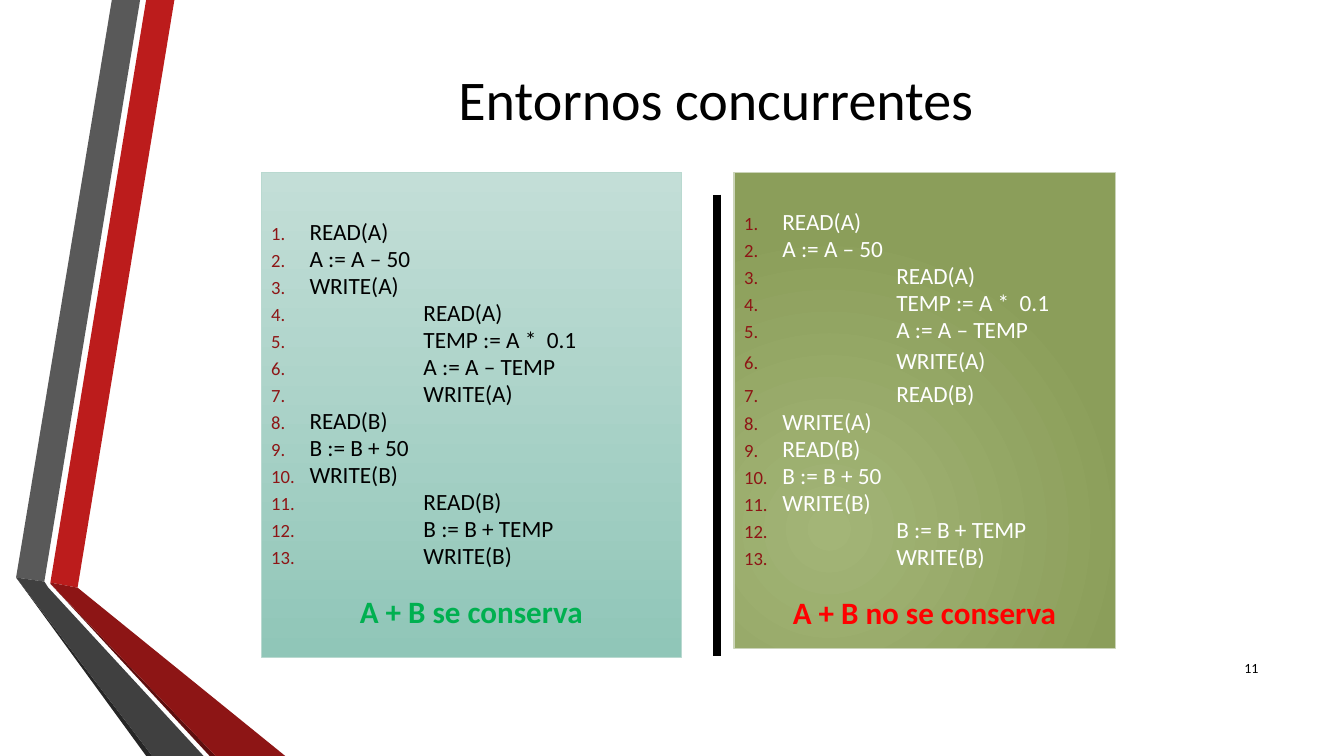
"""Build the slide that compares two concurrent schedules."""
from lxml.etree import SubElement
from pptx import Presentation
from pptx.dml.color import RGBColor
from pptx.enum.shapes import MSO_CONNECTOR as Connector
from pptx.enum.text import MSO_ANCHOR as Anchor, MSO_AUTO_SIZE as AutoSize, PP_ALIGN as Align
from pptx.oxml.ns import qn
from pptx.util import Inches, Pt

COLORS = {
    "black": "000000", "white": "FFFFFF", "number": "8D1515",
    "red_light": "BC1C1C", "red_mid": "8D1515", "red_dark": "5E0E0E",
    "gray_light": "595959", "gray_mid": "404040", "gray_dark": "262626",
    "teal_top": "C3DED7", "teal_bottom": "90C6B8", "teal_line": "B9D9D0",
    "olive_light": "A3B577", "olive_dark": "8B9E5A", "olive_line": "CBD4B9",
    "kept": "00B050", "lost": "FF0000",
}
RIBBONS = [
    ("red_light", [(0.5, 5.78), (0.77, 5.83), (1.73, 0), (1.45, 0)]),
    ("gray_light", [(1.39, 0), (1.11, 0), (0.16, 5.73), (0.44, 5.77)]),
    ("gray_dark", [(0.16, 5.73), (1.45, 7.5), (1.51, 7.5)]),
    ("red_dark", [(0.5, 5.79), (2.08, 7.5), (2.14, 7.5)]),
    ("red_mid", [(0.5, 5.79), (2.14, 7.5), (2.83, 7.5), (0.77, 5.83), (0.5, 5.78)]),
    ("gray_mid", [(2.02, 7.5), (0.48, 5.83), (0.44, 5.77), (0.16, 5.73), (1.51, 7.5)]),
]
PANELS = [
    {
        "box": (2.59, 1.71, 4.17, 4.81), "stops": ("teal_top", "teal_bottom"),
        "line": "teal_line", "ink": "black", "radial": False,
        "steps": [(1, "READ(A)"), (1, "A := A – 50"), (1, "WRITE(A)"),
                  (2, "READ(A)"), (2, "TEMP := A *  0.1"), (2, "A := A – TEMP"),
                  (2, "WRITE(A)"), (1, "READ(B)"), (1, "B := B + 50"),
                  (1, "WRITE(B)"), (2, "READ(B)"), (2, "B := B + TEMP"), (2, "WRITE(B)")],
        "loose": (), "result": "A + B se conserva", "result_color": "kept",
    },
    {
        "box": (7.28, 1.71, 3.78, 4.72), "stops": ("olive_light", "olive_dark"),
        "line": "olive_line", "ink": "white", "radial": True,
        "steps": [(1, "READ(A)"), (1, "A := A – 50"), (2, "READ(A)"),
                  (2, "TEMP := A *  0.1"), (2, "A := A – TEMP"), (2, "WRITE(A)"),
                  (2, "READ(B)"), (1, "WRITE(A)"), (1, "READ(B)"),
                  (1, "B := B + 50"), (1, "WRITE(B)"), (2, "B := B + TEMP"), (2, "WRITE(B)")],
        "loose": (5, 6), "result": "A + B no se conserva", "result_color": "lost",
    },
]
STEP_INDENT = {1: 0.38, 2: 1.51}


def rgb(name):
    return RGBColor.from_string(COLORS[name])


def style(para, size, color, align, bold=False):
    para.alignment = align
    for span in para.runs:
        span.font.name = "Calibri"
        span.font.size = Pt(size)
        span.font.bold = bold
        span.font.color.rgb = rgb(color)


deck = Presentation()
deck.slide_width, deck.slide_height = Inches(13.33), Inches(7.5)
page = deck.slides.add_slide(deck.slide_layouts[3])
title, *bodies = page.placeholders

for color, points in RIBBONS:
    corners = [(Inches(x), Inches(y)) for x, y in points]
    builder = page.shapes.build_freeform(*corners[0])
    builder.add_line_segments(corners[1:], close=True)
    ribbon = builder.convert_to_shape()
    ribbon.shadow.inherit = False
    ribbon.fill.solid()
    ribbon.fill.fore_color.rgb = rgb(color)
    ribbon.line.fill.background()

title.left, title.top, title.width, title.height = map(Inches, (1.62, 0.01, 10.96, 1.92))
title.text_frame.text = "Entornos concurrentes"
title.text_frame.vertical_anchor = Anchor.MIDDLE
style(title.text_frame.paragraphs[0], 40, "black", Align.CENTER)

for body, panel in zip(bodies, PANELS):
    body.left, body.top, body.width, body.height = map(Inches, panel["box"])
    body.line.color.rgb = rgb(panel["line"])
    body.line.width = Pt(0.75)
    body.fill.gradient()
    body.fill.gradient_angle = 270
    for stop, color, position in zip(body.fill.gradient_stops, panel["stops"], (0, 1)):
        stop.color.rgb = rgb(color)
        stop.position = position
    if panel["radial"]:
        gradient = body.element.spPr.find(qn("a:gradFill"))
        gradient.remove(gradient.find(qn("a:lin")))
        circle = SubElement(gradient, qn("a:path"), path="circle")
        SubElement(circle, qn("a:fillToRect"), l="50000", t="100000", r="100000", b="50000")

    frame = body.text_frame
    frame.auto_size = AutoSize.NONE
    frame.word_wrap = True
    frame.vertical_anchor = Anchor.MIDDLE
    frame.margin_top = Inches(0.32)
    frame.text = "\n".join([text for _, text in panel["steps"]] + [panel["result"]])
    *steps, result = frame.paragraphs
    for index, (para, (column, _)) in enumerate(zip(steps, panel["steps"])):
        style(para, 16.6, panel["ink"], Align.LEFT)
        para.line_spacing = 0.7 if index in panel["loose"] else 0.5
        para.space_before, para.space_after = Pt(3.3), Pt(6)
        props = para._p.get_or_add_pPr()
        indent = Inches(STEP_INDENT[column])
        props.set("marL", str(indent))
        props.set("indent", str(-indent))
        SubElement(SubElement(props, qn("a:buClr")), qn("a:srgbClr"), val=COLORS["number"])
        SubElement(props, qn("a:buSzPct"), val="80000")
        SubElement(props, qn("a:buFont"), typeface="Calibri")
        SubElement(props, qn("a:buAutoNum"), type="arabicPeriod")
    style(result, 22.2, panel["result_color"], Align.CENTER, bold=True)
    result.line_spacing = 0.5
    result.space_before, result.space_after = Pt(23.8), Pt(6)
    props = result._p.get_or_add_pPr()
    props.set("marL", "0")
    props.set("indent", "0")
    SubElement(props, qn("a:buNone"))

number = page.shapes.add_textbox(*map(Inches, (11.98, 6.43, 0.6, 0.4)))
number.text_frame.word_wrap = True
number.text_frame.vertical_anchor = Anchor.MIDDLE
number.text_frame.text = "11"
style(number.text_frame.paragraphs[0], 10, "black", Align.RIGHT)

divider = page.shapes.add_connector(Connector.STRAIGHT, *map(Inches, (7.11, 1.93, 7.11, 6.51)))
divider.line.color.rgb = rgb("black")
divider.line.width = Pt(6)
SubElement(divider.element.spPr, qn("a:effectLst"))

deck.save("out.pptx")
